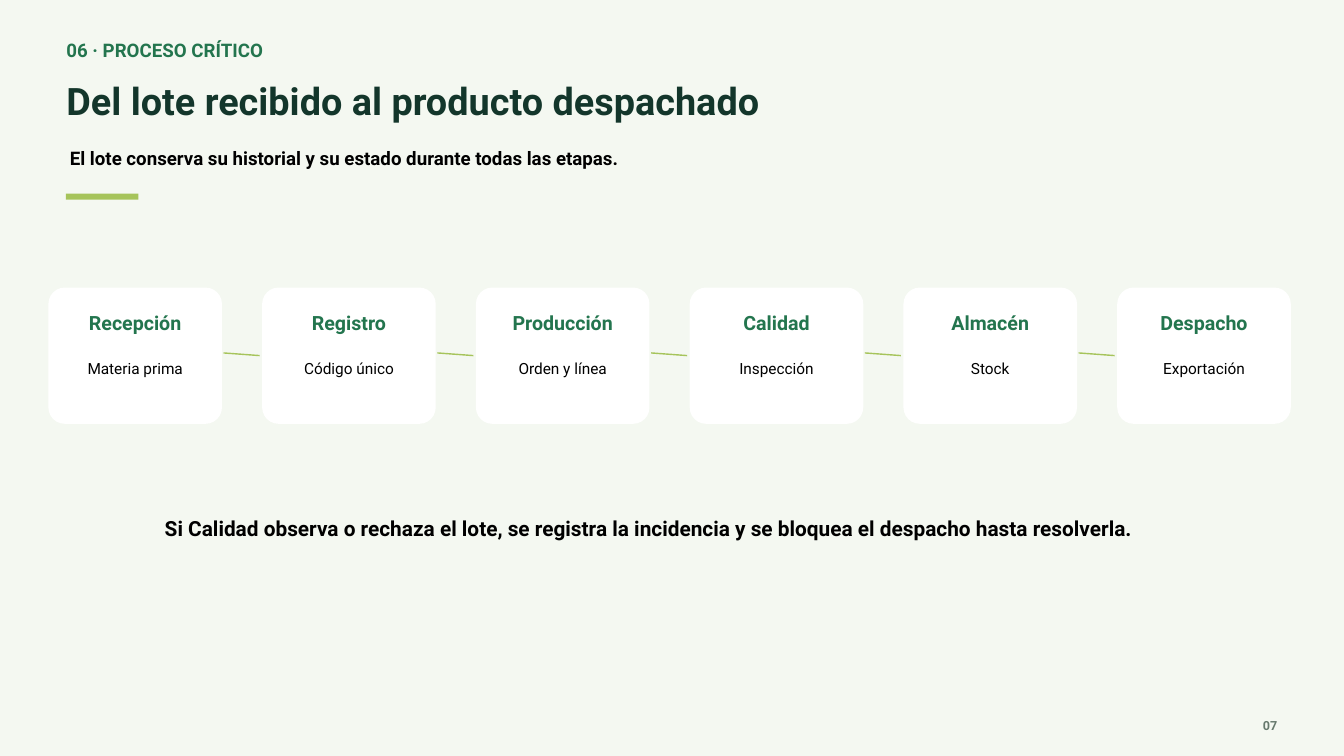
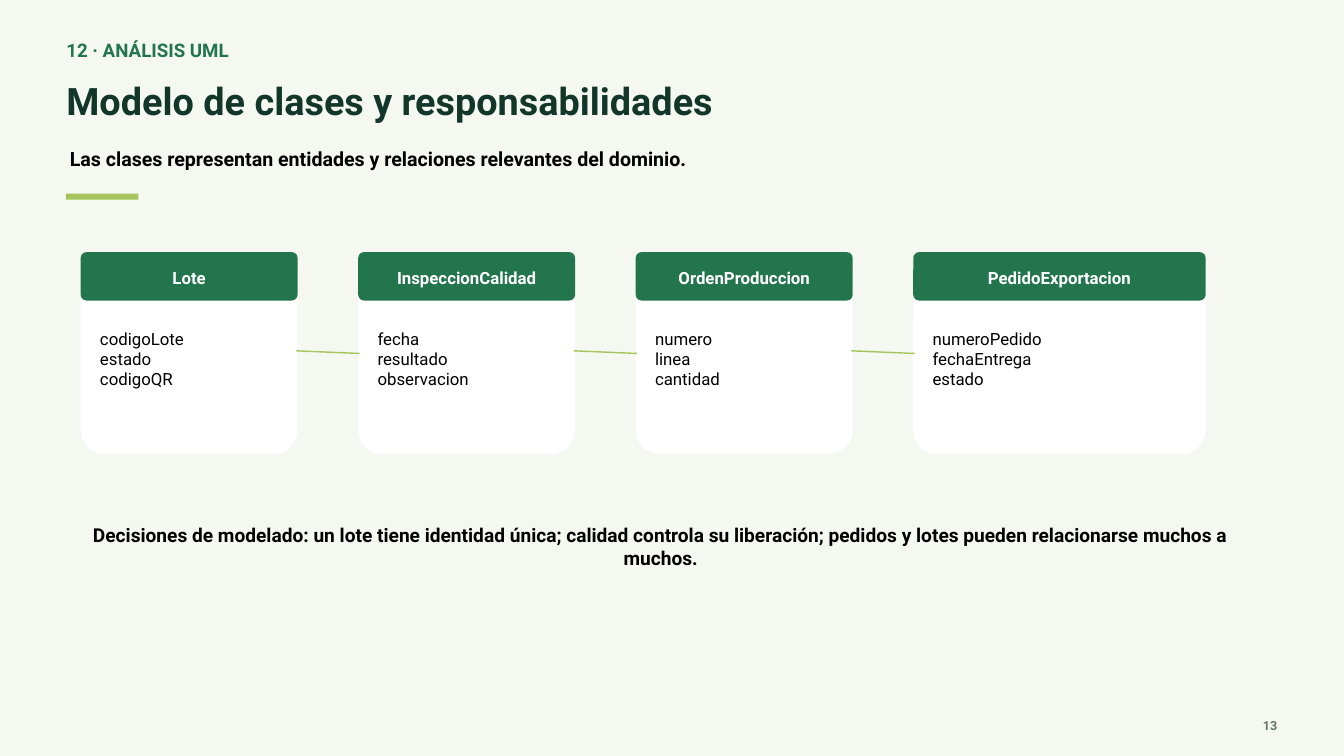
from pptx import Presentation
from pptx.dml.color import RGBColor
from pptx.enum.shapes import MSO_CONNECTOR, MSO_SHAPE
from pptx.enum.text import MSO_AUTO_SIZE, PP_ALIGN
from pptx.oxml.ns import qn
from pptx.util import Cm, Pt
from lxml.etree import SubElement

COLORS = {
    "background": "F4F8F1",
    "green": "23754E",
    "title": "13362B",
    "lime": "A6C45B",
    "muted": "66796D",
    "white": "FFFFFF",
    "black": "000000",
}
FONT = "Roboto"
LINE_SPACING = 1.2

STAGES = [
    ("Recepción", "Materia prima"),
    ("Registro", "Código único"),
    ("Producción", "Orden y línea"),
    ("Calidad", "Inspección"),
    ("Almacén", "Stock"),
    ("Despacho", "Exportación"),
]
CLASSES = [
    ("Lote", ["codigoLote", "estado", "codigoQR"], 8.2),
    ("InspeccionCalidad", ["fecha", "resultado", "observacion"], 8.2),
    ("OrdenProduccion", ["numero", "linea", "cantidad"], 8.2),
    ("PedidoExportacion", ["numeroPedido", "fechaEntrega", "estado"], 11.05),
]


def color(name):
    return RGBColor.from_string(COLORS[name])


def add_text(page, lines, left, top, width, height, size,
             ink="black", bold=False, align=PP_ALIGN.LEFT):
    box = page.shapes.add_textbox(Cm(left), Cm(top), Cm(width), Cm(height))
    frame = box.text_frame
    frame.word_wrap = True
    frame.auto_size = MSO_AUTO_SIZE.SHAPE_TO_FIT_TEXT
    frame.margin_left = frame.margin_right = 0
    frame.margin_top = frame.margin_bottom = 0
    frame.text = "\n".join(lines)
    for paragraph in frame.paragraphs:
        paragraph.alignment = align
        paragraph.line_spacing = Pt(size * LINE_SPACING)
        paragraph.font.name = FONT
        paragraph.font.size = Pt(size)
        paragraph.font.bold = bold
        paragraph.font.color.rgb = color(ink)


def add_block(page, left, top, width, height, fill, radius=0):
    kind = MSO_SHAPE.ROUNDED_RECTANGLE if radius else MSO_SHAPE.RECTANGLE
    block = page.shapes.add_shape(kind, Cm(left), Cm(top), Cm(width), Cm(height))
    if radius:
        block.adjustments[0] = radius / min(width, height)
    block.shadow.inherit = False
    block.fill.solid()
    block.fill.fore_color.rgb = color(fill)
    block.line.fill.background()


def add_link(page, start_x, end_x, start_y):
    link = page.shapes.add_connector(
        MSO_CONNECTOR.STRAIGHT, Cm(start_x), Cm(start_y), Cm(end_x), Cm(start_y + 0.1))
    link.line.color.rgb = color("lime")
    link.line.width = Pt(1.5)
    SubElement(link._element.spPr, qn("a:effectLst"))


def add_page(deck, section, title, subtitle, subtitle_size, number):
    page = deck.slides.add_slide(deck.slide_layouts[6])
    page.background.fill.solid()
    page.background.fill.fore_color.rgb = color("background")
    add_text(page, [section], 2.51, 1.45, 44.68, 0.86, 20, "green", True)
    add_text(page, [title], 2.51, 2.92, 45.44, 2.03, 40.5, "title", True)
    add_text(page, [subtitle], 2.64, 5.54, 45.06, 0.86, subtitle_size, bold=True)
    add_block(page, 2.49, 7.32, 2.74, 0.23, "lime")
    add_text(page, [number], 46.86, 27.13, 1.42, 0.48, 13.5, "muted", True, PP_ALIGN.RIGHT)
    return page


def add_stage(page, name, detail, left):
    width, inset = 6.56, 0.46
    inner = width - 2 * inset
    add_block(page, left, 10.87, width, 5.15, "white", 0.62)
    add_text(page, [name], left + inset, 11.76, inner, 1.07, 21,
             "green", True, PP_ALIGN.CENTER)
    add_text(page, [detail], left + inset, 13.56, inner, 1.04, 16.5,
             align=PP_ALIGN.CENTER)


def add_class(page, name, attributes, left, width):
    top, name_inset, attribute_inset = 9.53, 0.46, 0.73
    add_block(page, left, top, width, 7.63, "white", 0.91)
    add_block(page, left, top, width, 1.83, "green", 0.22)
    add_text(page, [name], left + name_inset, 10.13, width - 2 * name_inset, 0.61, 18,
             "white", True, PP_ALIGN.CENTER)
    add_text(page, attributes, left + attribute_inset, 12.42,
             width - 2 * attribute_inset, 3.51, 18)


def build_process(deck):
    page = add_page(deck, "06 · PROCESO CRÍTICO", "Del lote recibido al producto despachado",
                    "El lote conserva su historial y su estado durante todas las etapas.",
                    20, "07")
    for index, (name, detail) in enumerate(STAGES):
        left = 1.83 + index * 8.08
        add_stage(page, name, detail, left)
        if index < len(STAGES) - 1:
            add_link(page, left + 6.62, left + 7.98, 13.34)
    add_text(page, ["Si Calidad observa o rechaza el lote, se registra la incidencia "
                    "y se bloquea el despacho hasta resolverla."],
             2.29, 19.48, 44.45, 0.91, 22.3, bold=True, align=PP_ALIGN.CENTER)


def build_class_model(deck):
    page = add_page(deck, "12 · ANÁLISIS UML", "Modelo de clases y responsabilidades",
                    "Las clases representan entidades y relaciones relevantes del dominio.",
                    21, "13")
    lefts = [3.05 + index * 10.49 for index in range(len(CLASSES))]
    for left, (name, attributes, width) in zip(lefts, CLASSES):
        add_class(page, name, attributes, left, width)
    for left in lefts[:-1]:
        add_link(page, left + 8.15, left + 10.54, 13.26)
    add_text(page, ["Decisiones de modelado: un lote tiene identidad única; calidad controla "
                    "su liberación; pedidos y lotes pueden relacionarse muchos a muchos."],
             3.4, 19.79, 43.15, 1.7, 20.5, bold=True, align=PP_ALIGN.CENTER)


def main():
    deck = Presentation()
    deck.slide_width = Cm(50.8)
    deck.slide_height = Cm(28.575)
    build_process(deck)
    build_class_model(deck)
    deck.save("out.pptx")


if __name__ == "__main__":
    main()
